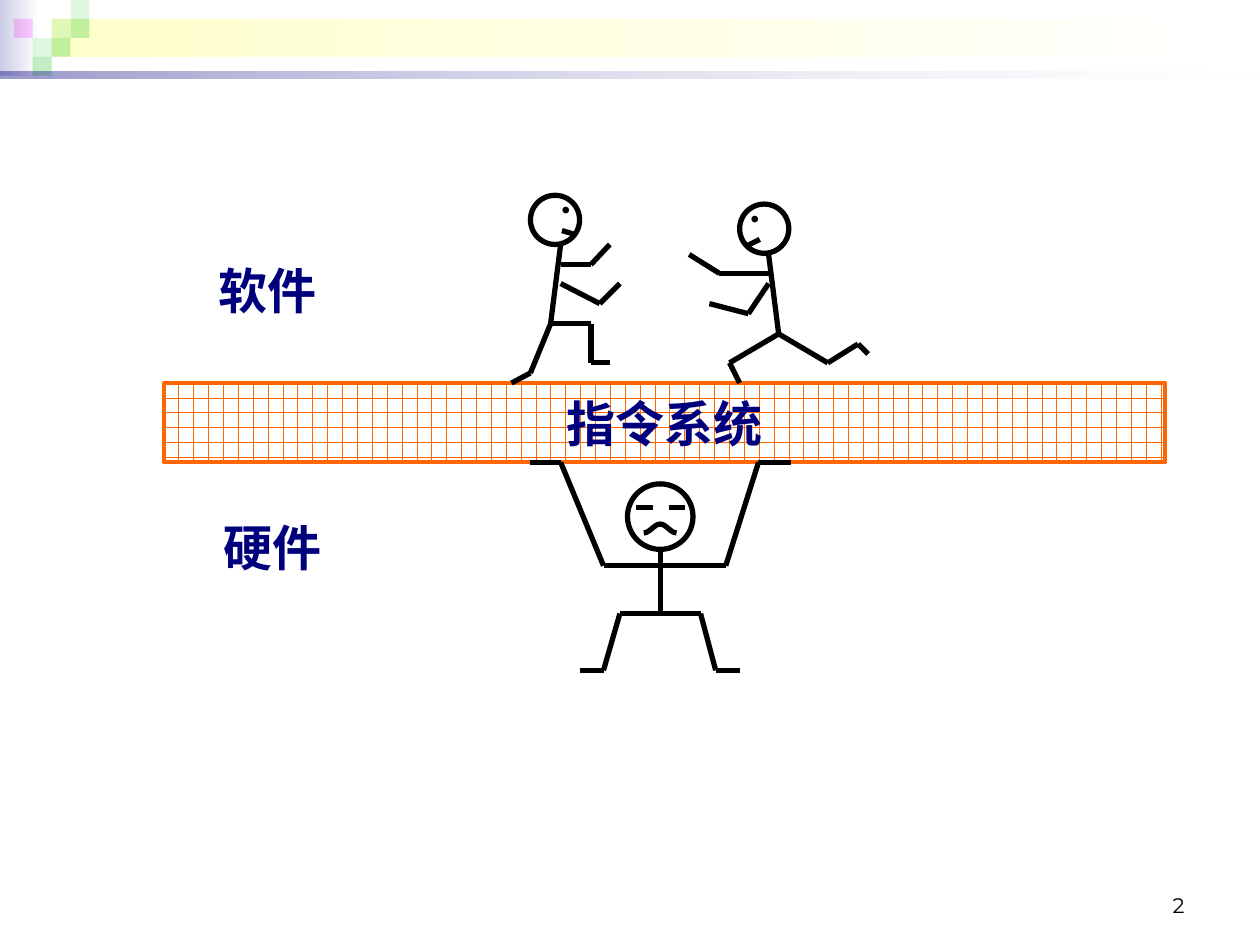
from itertools import pairwise
from math import cos, pi

from lxml import etree
from pptx import Presentation
from pptx.dml.color import RGBColor
from pptx.enum.dml import MSO_PATTERN
from pptx.enum.shapes import MSO_CONNECTOR, MSO_SHAPE
from pptx.enum.text import MSO_ANCHOR, PP_ALIGN
from pptx.oxml.ns import qn
from pptx.util import Inches, Pt

RECT, OVAL = MSO_SHAPE.RECTANGLE, MSO_SHAPE.OVAL
STRAIGHT = MSO_CONNECTOR.STRAIGHT
BRICK = MSO_PATTERN.HORIZONTAL_BRICK
TOP, MIDDLE, BOTTOM = MSO_ANCHOR.TOP, MSO_ANCHOR.MIDDLE, MSO_ANCHOR.BOTTOM
CENTER, RIGHT = PP_ALIGN.CENTER, PP_ALIGN.RIGHT

COLORS = {
    "ink": "000000", "white": "FFFFFF", "navy": "00007D", "orange": "FF6600",
    "lavender": "CDCDE6", "cream": "FFFFCC", "green": "33CC33", "pink": "FF00FF",
}
CJK_FONT = "Noto Sans CJK SC"
STROKE = Pt(3)


def rgb(name):
    return RGBColor.from_string(COLORS[name])


def set_alpha(color_element, percent):
    etree.SubElement(color_element, qn("a:alpha"), val=str(percent * 1000))


def write(frame, text, size=28, font="Arial", color="navy", bold=False,
          align=CENTER, anchor=TOP, wrap=True):
    frame.word_wrap = wrap
    frame.vertical_anchor = anchor
    paragraph = frame.paragraphs[0]
    paragraph.alignment = align
    run = paragraph.add_run()
    run.text = text
    run.font.size = Pt(size)
    run.font.bold = bold
    run.font.color.rgb = rgb(color)
    run.font.name = font
    etree.SubElement(run.font._element, qn("a:ea"), typeface=CJK_FONT)


def add_label(slide, box, text, **text_format):
    label = slide.shapes.add_textbox(*map(Inches, box))
    write(label.text_frame, text, **text_format)


def add_block(slide, box, kind=RECT):
    block = slide.shapes.add_shape(kind, *map(Inches, box))
    block.shadow.inherit = False
    block.line.fill.background()
    return block


def add_fade(slide, box, start, alphas=()):
    """Rectangle fading from the start colour to white, left to right."""
    fill = add_block(slide, box).fill
    fill.gradient()
    fill.gradient_angle = 0
    for stop, color, position in zip(fill.gradient_stops, (start, "white"), (0, 1)):
        stop.color.rgb = rgb(color)
        stop.position = position
    for stop, alpha in zip(fill.gradient_stops, alphas):
        set_alpha(stop._gs[0], alpha)


def add_banner(slide, left, top, width):
    add_fade(slide, (left, top, 0.31, 0.6), "lavender")
    add_fade(slide, (left + 0.41, top + 0.15, width - 0.45, 0.3), "cream")
    tile = 0.15
    tiles = [  # column, row, colour, opacity
        (2, 1, "green", 15), (3, 0, "green", 15), (3, 1, "green", 30),
        (1, 2, "green", 15), (0, 1, "pink", 20), (2, 2, "green", 30),
        (1, 3, "green", 30),
    ]
    for column, row, color, opacity in tiles:
        box = (left + 0.11 + column * tile, top + row * tile, tile, tile)
        square = add_block(slide, box)
        square.fill.solid()
        square.fill.fore_color.rgb = rgb(color)
        set_alpha(square.fill._xPr.find(qn("a:solidFill"))[0], opacity)
    add_fade(slide, (left, top + 0.57, width, 0.05), "navy", alphas=(40, 10))


def add_plank(slide, box, text):
    plank = add_block(slide, box)
    plank.fill.patterned()
    plank.fill.pattern = BRICK
    plank.fill.fore_color.rgb = rgb("orange")
    plank.fill.back_color.rgb = rgb("white")
    plank.line.color.rgb = rgb("orange")
    plank.line.width = Pt(2.25)
    write(plank.text_frame, text, bold=True, anchor=MIDDLE, wrap=False)


def ink_outline(shape):
    shape.line.color.rgb = rgb("ink")
    shape.line.width = STROKE


def add_head(slide, left, top, size):
    head = add_block(slide, (left, top, size, size), OVAL)
    head.fill.background()
    ink_outline(head)


def add_limbs(slide, left, top, limbs):
    """Each limb is a chain of points, drawn bone by bone."""
    for limb in limbs:
        for (x1, y1), (x2, y2) in pairwise(limb):
            bone = slide.shapes.add_connector(
                STRAIGHT, Inches(left + x1), Inches(top + y1),
                Inches(left + x2), Inches(top + y2))
            ink_outline(bone)
            etree.SubElement(bone._element.spPr, qn("a:effectLst"))


def add_fighter(slide, left, top, head_x, eye_x, limbs):
    add_head(slide, left + head_x, top, 0.39)
    add_limbs(slide, left, top, limbs)
    add_label(slide, (left + eye_x, top - 0.08, 0.45, 0.4), "·",
              size=18, font=CJK_FONT, color="ink")


def add_frown(slide, left, top, width, height, steps=16):
    points = [(Inches(left + width * i / steps),
               Inches(top + height * (1 + cos(2 * pi * i / steps)) / 2))
              for i in range(steps + 1)]
    builder = slide.shapes.build_freeform(*points[0])
    builder.add_line_segments(points[1:], close=False)
    frown = builder.convert_to_shape()
    frown.shadow.inherit = False
    frown.fill.background()
    ink_outline(frown)


def add_carrier(slide, left, top):
    add_head(slide, left + 0.77, top + 0.17, 0.52)
    add_frown(slide, left + 0.9, top + 0.49, 0.26, 0.07)
    add_limbs(slide, left, top, [
        [(0.84, 0.36), (0.97, 0.36)],
        [(1.1, 0.36), (1.23, 0.36)],
        [(1.03, 0.69), (1.03, 1.2)],
        [(0, 0), (0.24, 0), (0.58, 0.82), (1.55, 0.82), (1.81, 0), (2.07, 0)],
        [(0.39, 1.65), (0.58, 1.65), (0.71, 1.2),
         (1.35, 1.2), (1.47, 1.65), (1.66, 1.65)],
    ])


LEFT_FIGHTER = [
    [(0.5, 0.31), (0.4, 0.28)],
    [(0.39, 0.39), (0.31, 1.02)],
    [(0.31, 1.02), (0.63, 1.02), (0.63, 1.33), (0.78, 1.33)],
    [(0.31, 1.02), (0.15, 1.41), (0, 1.49)],
    [(0.39, 0.55), (0.63, 0.55), (0.78, 0.39)],
    [(0.39, 0.7), (0.7, 0.86), (0.86, 0.7)],
]
RIGHT_FIGHTER = [
    [(0.46, 0.33), (0.56, 0.28)],
    [(0.63, 0.4), (0.71, 1.03)],
    [(0.71, 1.03), (0.32, 1.26), (0.4, 1.42)],
    [(0.71, 1.03), (1.1, 1.26), (1.34, 1.11), (1.42, 1.19)],
    [(0.63, 0.55), (0.24, 0.55), (0, 0.4)],
    [(0.63, 0.63), (0.47, 0.87), (0.16, 0.79)],
]


def main():
    deck = Presentation()
    deck.slide_width, deck.slide_height = Inches(10), Inches(7.5)
    slide = deck.slides.add_slide(deck.slide_layouts[6])
    add_banner(slide, 0, 0, 10)
    add_label(slide, (7.17, 6.83, 2.33, 0.5), "2", size=12, font="Montserrat",
              color="ink", align=RIGHT, anchor=BOTTOM)
    add_plank(slide, (1.3, 3.04, 7.95, 0.63), "指令系统")
    add_carrier(slide, 4.21, 3.67)
    add_label(slide, (1.53, 4.06, 1.26, 0.57), "硬件", bold=True)
    add_label(slide, (1.53, 2.02, 1.18, 0.57), "软件", bold=True)
    add_fighter(slide, 4.06, 1.55, 0.15, 0.21, LEFT_FIGHTER)
    add_fighter(slide, 5.47, 1.62, 0.4, 0.3, RIGHT_FIGHTER)
    deck.save("out.pptx")


if __name__ == "__main__":
    main()
